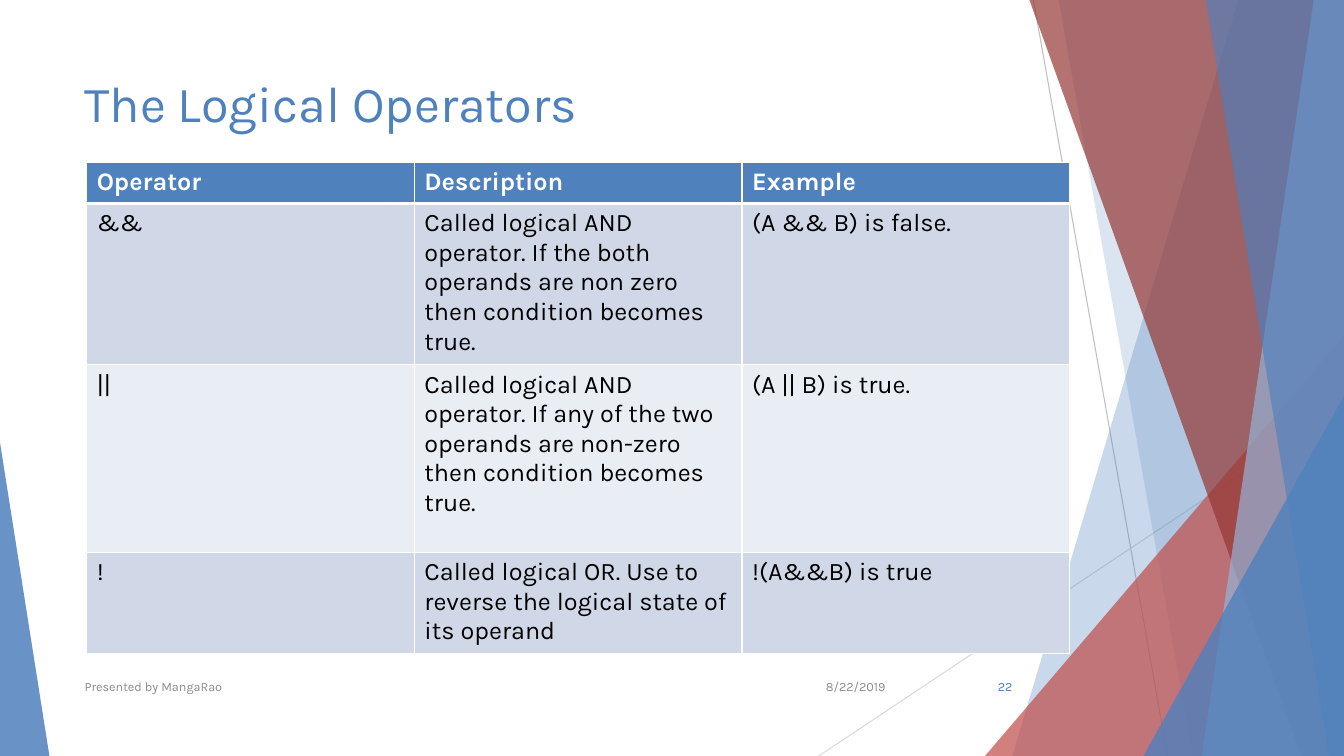
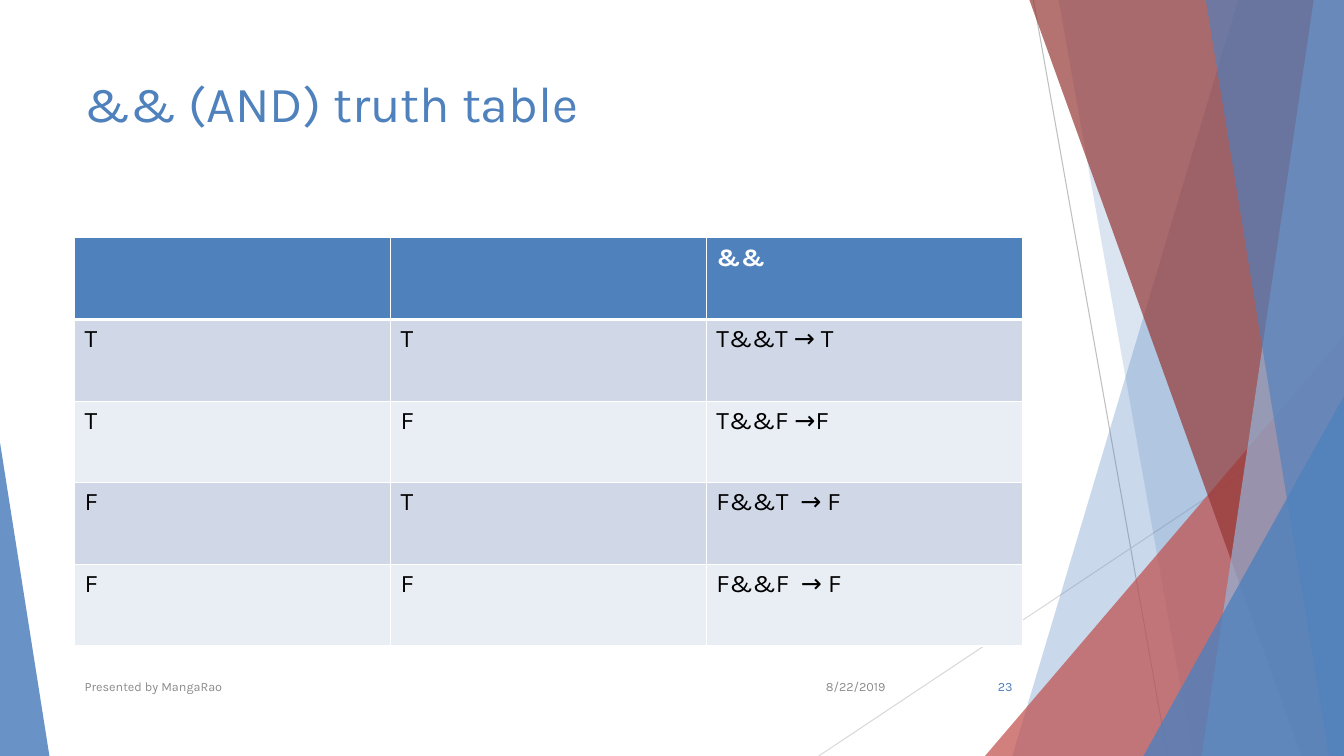
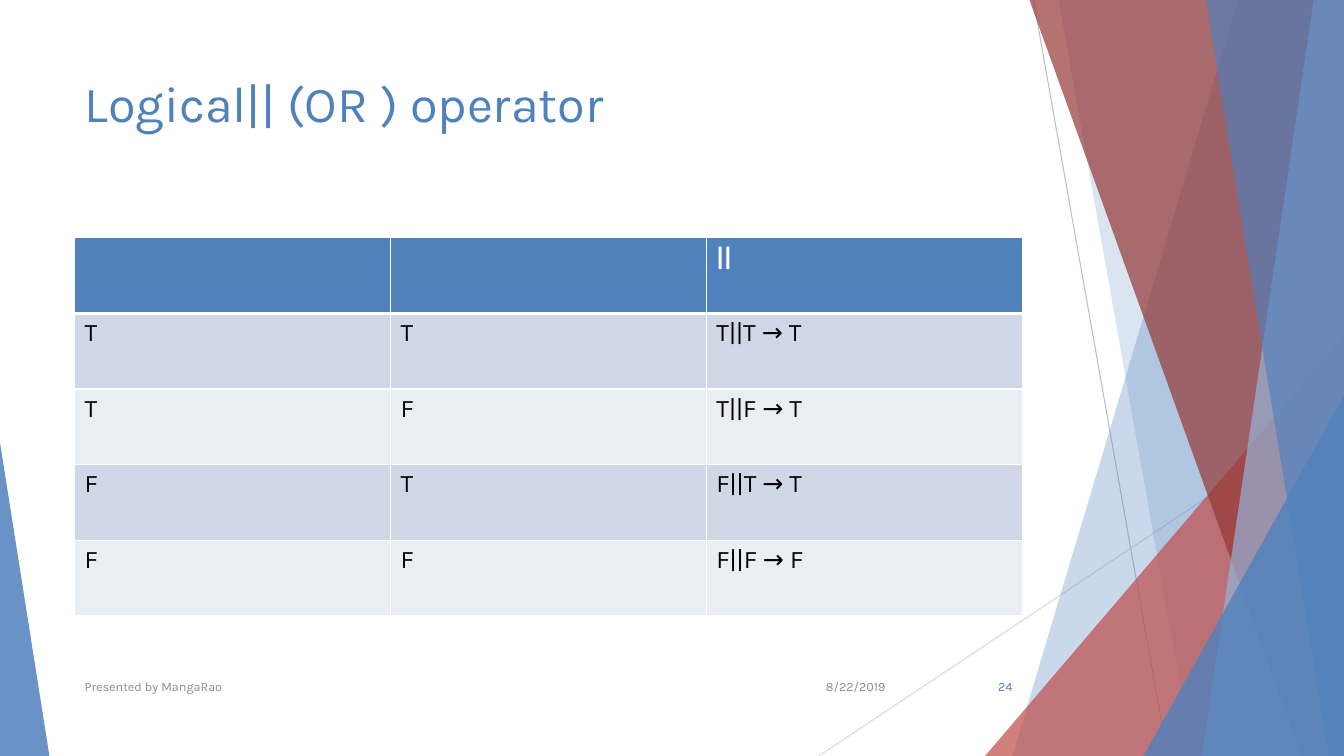
from itertools import product

from lxml.etree import SubElement
from pptx import Presentation
from pptx.dml.color import RGBColor
from pptx.enum.shapes import MSO_CONNECTOR, MSO_SHAPE
from pptx.enum.text import MSO_ANCHOR, PP_ALIGN
from pptx.oxml import parse_xml
from pptx.oxml.ns import nsdecls, qn
from pptx.util import Inches, Pt

WIDTH, HEIGHT = 13.33, 7.5
FONT = "Karla"
COLORS = {
    "blue": "4F81BD",
    "light_blue": "95B3D7",
    "red": "C0504D",
    "dark_red": "953735",
    "band_dark": "D0D8E8",
    "band_light": "E9EDF4",
    "line_dark": "BFBFBF",
    "line_light": "D9D9D9",
    "footer": "8C8C8C",
    "white": "FFFFFF",
    "black": "000000",
}


class SlideBuilder:
    """Draw the shared facet style and the content of the current slide."""

    def __init__(self):
        self.deck = Presentation()
        self.deck.slide_width = Inches(WIDTH)
        self.deck.slide_height = Inches(HEIGHT)
        self.page = None

    def color(self, name):
        return RGBColor.from_string(COLORS[name])

    def start(self, title, number):
        self.page = self.deck.slides.add_slide(self.deck.slide_layouts[6])
        self.facets()
        self.text(title, 0.74, 0.67, 9.4, 1.44, 36, "blue")
        self.footer("8/22/2019", 7.88, 1, "footer", PP_ALIGN.RIGHT)
        self.footer("Presented by MangaRao", 0.74, 6.89, "footer", PP_ALIGN.LEFT)
        self.footer(str(number), 9.39, 0.75, "blue", PP_ALIGN.RIGHT)

    def facets(self):
        self.line(10.25, 0, 11.58, HEIGHT, "line_dark")
        self.line(WIDTH, 4.03, 8.12, HEIGHT, "line_light")
        self.facet(12.28, 10.04, "blue", 30)
        self.facet(10.5, 11.83, "blue", 20)
        self.triangle(9.77, 3.33, 3.56, 1, "red", 72)
        self.facet(10.21, 12.91, "dark_red", 70)
        self.facet(13.03, 11.92, "light_blue", 70)
        self.facet(11.96, 13.18, "blue", 65)
        self.triangle(11.34, 3.93, 1.99, 1, "blue", 80)
        self.triangle(0, 4.39, 0.49, 0, "blue", 85)

    def line(self, x1, y1, x2, y2, color):
        line = self.page.shapes.add_connector(
            MSO_CONNECTOR.STRAIGHT, Inches(x1), Inches(y1), Inches(x2), Inches(y2))
        line.line.color.rgb = self.color(color)
        line.line.width = Pt(0.75)
        SubElement(line._element.spPr, qn("a:effectLst"))

    def facet(self, top_x, bottom_x, color, opacity):
        corners = [(WIDTH, 0), (WIDTH, HEIGHT), (bottom_x, HEIGHT)]
        builder = self.page.shapes.build_freeform(Inches(top_x), 0)
        builder.add_line_segments([(Inches(x), Inches(y)) for x, y in corners])
        self.paint(builder.convert_to_shape(), color, opacity)

    def triangle(self, left, top, width, apex, color, opacity):
        shape = self.page.shapes.add_shape(
            MSO_SHAPE.ISOSCELES_TRIANGLE,
            Inches(left), Inches(top), Inches(width), Inches(HEIGHT - top))
        shape.adjustments[0] = apex
        self.paint(shape, color, opacity)

    def paint(self, shape, color, opacity):
        shape.shadow.inherit = False
        shape.line.fill.background()
        shape.fill.solid()
        shape.fill.fore_color.rgb = self.color(color)
        tone = shape._element.spPr.find(qn("a:solidFill"))[0]
        SubElement(tone, qn("a:alpha"), val=str(opacity * 1000))

    def text(self, words, left, top, width, height, size, color,
             align=PP_ALIGN.LEFT, anchor=MSO_ANCHOR.TOP):
        box = self.page.shapes.add_textbox(
            Inches(left), Inches(top), Inches(width), Inches(height))
        box.text_frame.word_wrap = True
        box.text_frame.vertical_anchor = anchor
        self.fill_text(box.text_frame, words, size, color, False, align)

    def footer(self, words, left, width, color, align):
        self.text(words, left, 6.61, width, 0.4, 9, color, align, MSO_ANCHOR.MIDDLE)

    def fill_text(self, frame, words, size, color, bold=False, align=PP_ALIGN.LEFT):
        para = frame.paragraphs[0]
        para.alignment = align
        span = para.add_run()
        span.text = words
        for name, value in {"name": FONT, "size": Pt(size), "bold": bold}.items():
            setattr(span.font, name, value)
        span.font.color.rgb = self.color(color)

    def table(self, left, top, width, heights, rows):
        columns = len(rows[0])
        table = self.page.shapes.add_table(
            len(rows), columns, Inches(left), Inches(top),
            Inches(width), Inches(sum(heights))).table
        for column in table.columns:
            column.width = Inches(width / columns)
        for index, (height, row) in enumerate(zip(heights, rows)):
            table.rows[index].height = Inches(height)
            fill = "band_dark" if index % 2 else "band_light"
            for cell, words in zip(table.rows[index].cells, row):
                cell.fill.solid()
                cell.fill.fore_color.rgb = self.color(fill if index else "blue")
                self.borders(cell, index)
                if words:
                    self.fill_text(cell.text_frame, words, 18,
                                   "black" if index else "white", index == 0)

    def borders(self, cell, index):
        widths = {"L": 1, "R": 1, "T": 3 if index == 1 else 1, "B": 1 if index else 3}
        properties = cell._tc.get_or_add_tcPr()
        for place, (side, width) in enumerate(widths.items()):
            properties.insert(place, parse_xml(
                f'<a:ln{side} {nsdecls("a")} w="{Pt(width)}"><a:solidFill>'
                f'<a:srgbClr val="{COLORS["white"]}"/></a:solidFill></a:ln{side}>'))

    def truth_table(self, operator, row_height, results):
        inputs = product("TF", repeat=2)
        rows = [("", "", operator)]
        rows += [(*pair, result) for pair, result in zip(inputs, results)]
        self.table(0.74, 2.36, 9.4, [row_height] * len(rows), rows)


def main():
    slides = SlideBuilder()

    slides.start("The Logical Operators", 22)
    slides.table(0.86, 1.61, 9.75, [0.41, 1.56, 1.86, 0.98], [
        ("Operator", "Description", "Example"),
        ("&&", "Called logical AND operator. If the both operands are non zero "
         "then condition becomes true.", "(A && B) is false."),
        ("||", "Called logical AND operator. If any of the two operands are "
         "non-zero then condition becomes true.", "(A || B) is true."),
        ("!", "Called logical OR. Use to reverse the logical state of its operand",
         "!(A&&B) is true"),
    ])

    slides.start("&& (AND) truth table", 23)
    slides.truth_table("&&", 0.81, ["T&&T → T", "T&&F →F", "F&&T  → F", "F&&F  → F"])

    slides.start("Logical|| (OR ) operator", 24)
    slides.truth_table("||", 0.75, ["T||T → T", "T||F → T", "F||T → T", "F||F → F"])

    slides.deck.save("out.pptx")


if __name__ == "__main__":
    main()
